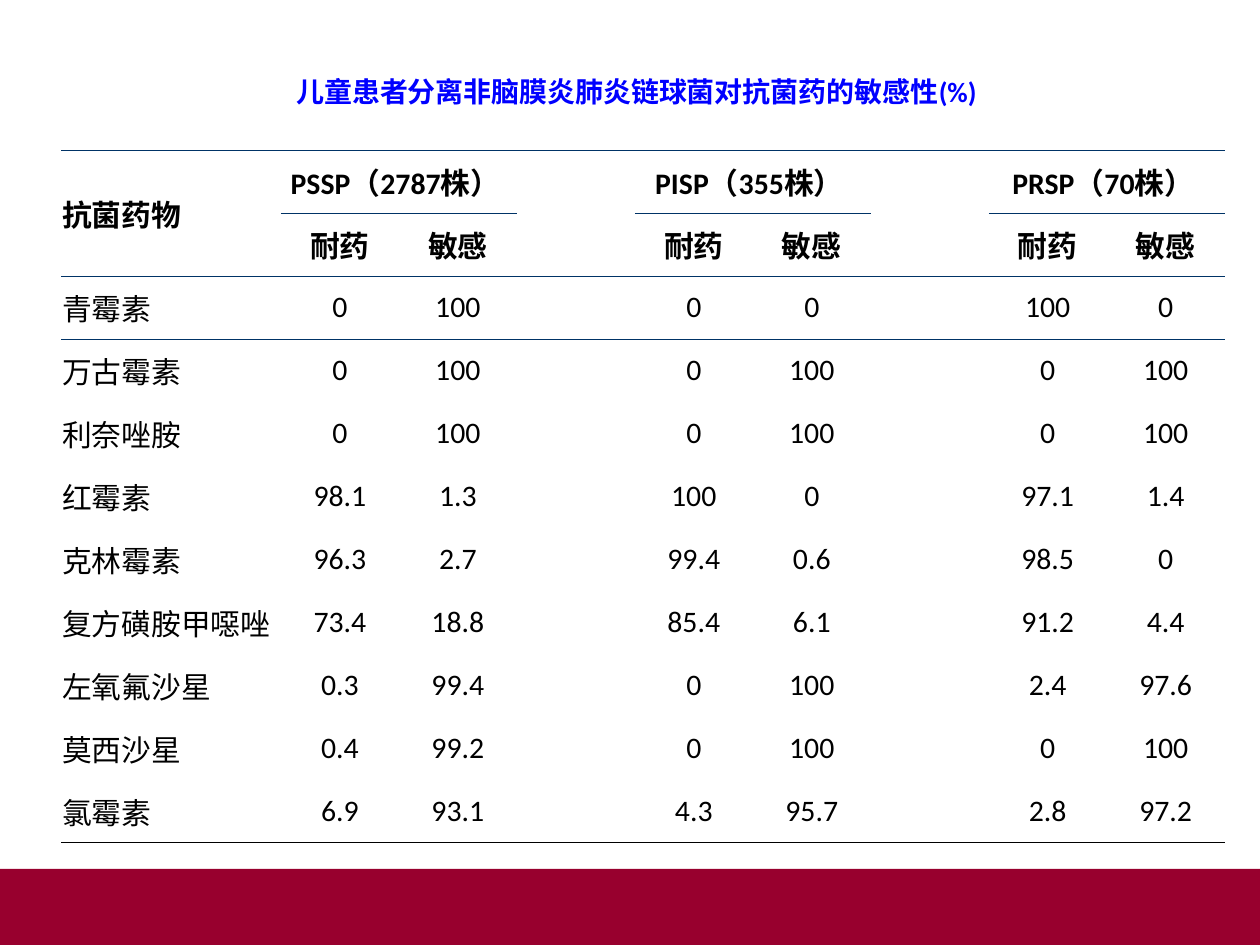
from lxml import etree
from pptx import Presentation
from pptx import util as u
from pptx.dml.color import RGBColor
from pptx.enum import shapes, text
from pptx.oxml.ns import qn

PX = 914400 // 126
FONT = "Calibri"
NAVY, BLACK, BLUE, RED = "003366", "000000", "0000FF", "98002E"
NO_STYLE = "{2D5ABB26-0587-4C30-8999-92F81FD0307C}"

TITLE = "儿童患者分离非脑膜炎肺炎链球菌对抗菌药的敏感性(%)"
CORNER = "抗菌药物"
GROUPS = ["PSSP（2787株） ", "PISP（355株） ", "PRSP（70株） "]
PAIR = ["耐药", "敏感"]
DRUGS = [
    ("青霉素", "0", "100", "0", "0", "100", "0"),
    ("万古霉素", "0", "100", "0", "100", "0", "100"),
    ("利奈唑胺", "0", "100", "0", "100", "0", "100"),
    ("红霉素", "98.1", "1.3", "100", "0", "97.1", "1.4"),
    ("克林霉素", "96.3", "2.7", "99.4", "0.6", "98.5", "0"),
    ("复方磺胺甲噁唑", "73.4", "18.8", "85.4", "6.1", "91.2", "4.4"),
    ("左氧氟沙星", "0.3", "99.4", "0", "100", "2.4", "97.6"),
    ("莫西沙星", "0.4", "99.2", "0", "100", "0", "100"),
    ("氯霉素", "6.9", "93.1", "4.3", "95.7", "2.8", "97.2"),
]
LEFT, TOP, NAME_W, COL_W, ROW_H = 61, 150, 220, 118, 63
HEADS = 2
STEP = len(PAIR) + 1  # a group's columns and the gap after it
COLS = len(GROUPS) * STEP
ROWS = HEADS + len(DRUGS)


def px(*sizes):
    return [u.Emu(n * PX) for n in sizes]


def rgb(code):
    return RGBColor.from_string(code)


def write(frame, words, size, color, bold, align):
    para = frame.paragraphs[0]
    para.text = words
    para.alignment = align
    font = para.font
    font.name, font.size, font.bold = FONT, u.Pt(size), bold
    font.color.rgb = rgb(color)


def rule(cell, side, color):
    """Draw a thin line on one side of a cell: lnT or lnB."""
    line = etree.SubElement(cell._tc.get_or_add_tcPr(), qn("a:" + side),
                            w=str(u.Pt(0.45)))
    fill = etree.SubElement(line, qn("a:solidFill"))
    etree.SubElement(fill, qn("a:srgbClr"), val=color)


def edges(row, col):
    """Return the (side, colour) lines of a cell."""
    gap = col > 0 and col % STEP == 0
    top = row in (0, HEADS) or (row == 1 and col > 0 and not gap)
    low = row == 1 or (row == 0 and not gap)
    if top:
        yield "lnT", NAVY
    if low:
        yield "lnB", NAVY
    if row == ROWS - 1:
        yield "lnB", BLACK


def grid():
    """Map (row, column) to the words of each filled cell."""
    words = {(0, 0): CORNER}
    for g, name in enumerate(GROUPS):
        first = 1 + g * STEP
        words[0, first] = name
        for k, label in enumerate(PAIR):
            words[1, first + k] = label
            for r, drug in enumerate(DRUGS, HEADS):
                words[r, 0] = drug[0]
                words[r, first + k] = drug[1 + g * len(PAIR) + k]
    return words


def add_grid(slide):
    shape = slide.shapes.add_table(
        ROWS, COLS, *px(LEFT, TOP, NAME_W + (COLS - 1) * COL_W, ROWS * ROW_H))
    table = shape.table
    table.first_row = table.horz_banding = False
    table._tbl.tblPr.find(qn("a:tableStyleId")).text = NO_STYLE
    for c, col in enumerate(table.columns):
        col.width = px(COL_W if c else NAME_W)[0]
    words = grid()
    for r in range(ROWS):
        for c in range(COLS):
            cell = table.cell(r, c)
            for side, color in edges(r, c):
                rule(cell, side, color)
            cell.fill.background()
            cell.vertical_anchor = text.MSO_ANCHOR.MIDDLE
            cell.margin_left, cell.margin_right = px(1, 1)
            cell.margin_top, cell.margin_bottom = px(6, 6)
            if (r, c) in words:
                align = text.PP_ALIGN.CENTER if c else text.PP_ALIGN.LEFT
                write(cell.text_frame, words[r, c], 17, BLACK, r < HEADS, align)
    table.cell(0, 0).merge(table.cell(1, 0))
    for first in range(1, COLS, STEP):
        table.cell(0, first).merge(table.cell(0, first + len(PAIR) - 1))


def main():
    deck = Presentation()
    deck.slide_width, deck.slide_height = px(1260, 945)
    slide = deck.slides.add_slide(deck.slide_layouts[6])

    band = slide.shapes.add_shape(shapes.MSO_SHAPE.RECTANGLE,
                                  *px(0, 869, 1260, 76))
    band.shadow.inherit = False
    band.fill.solid()
    band.fill.fore_color.rgb = rgb(RED)
    band.line.fill.background()

    frame = slide.shapes.add_textbox(*px(25, 51, 1223, 81)).text_frame
    frame.word_wrap = True
    frame.vertical_anchor = text.MSO_ANCHOR.MIDDLE
    write(frame, TITLE, 16, BLUE, True, text.PP_ALIGN.CENTER)

    add_grid(slide)
    deck.save("out.pptx")


if __name__ == "__main__":
    main()
